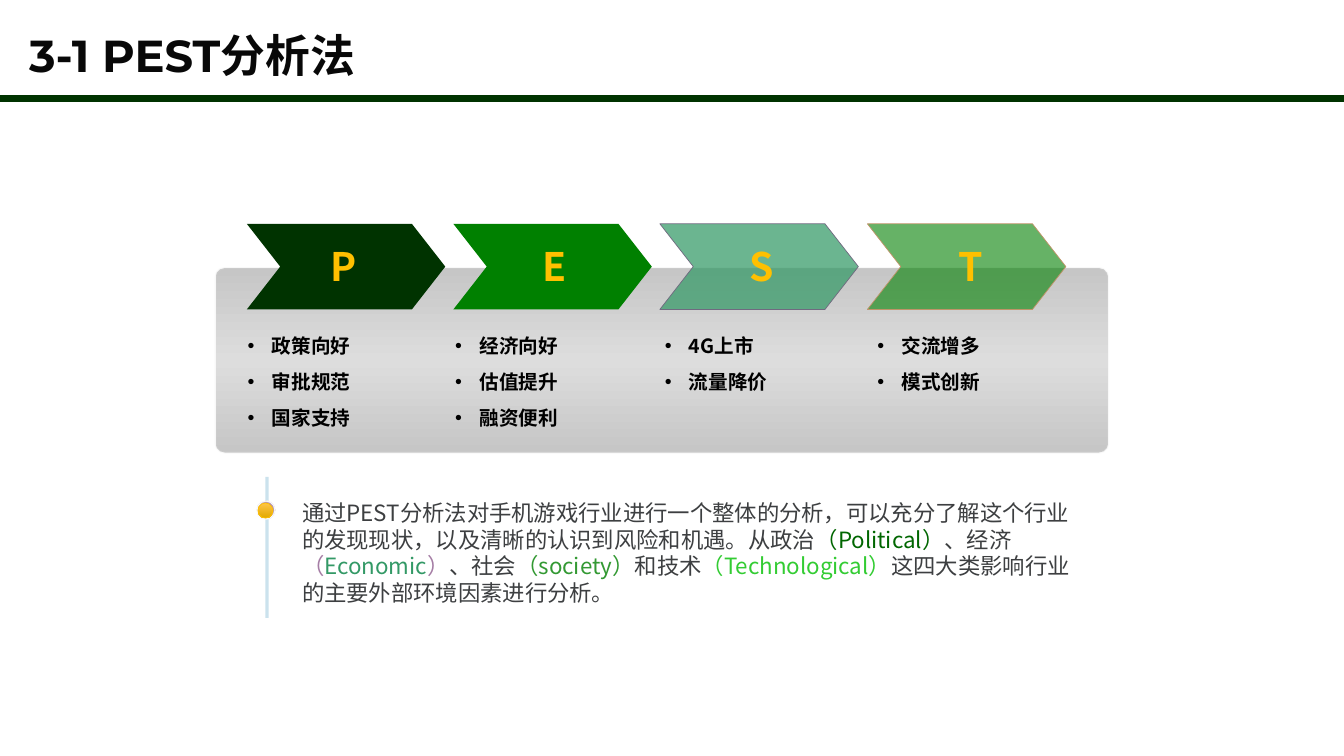
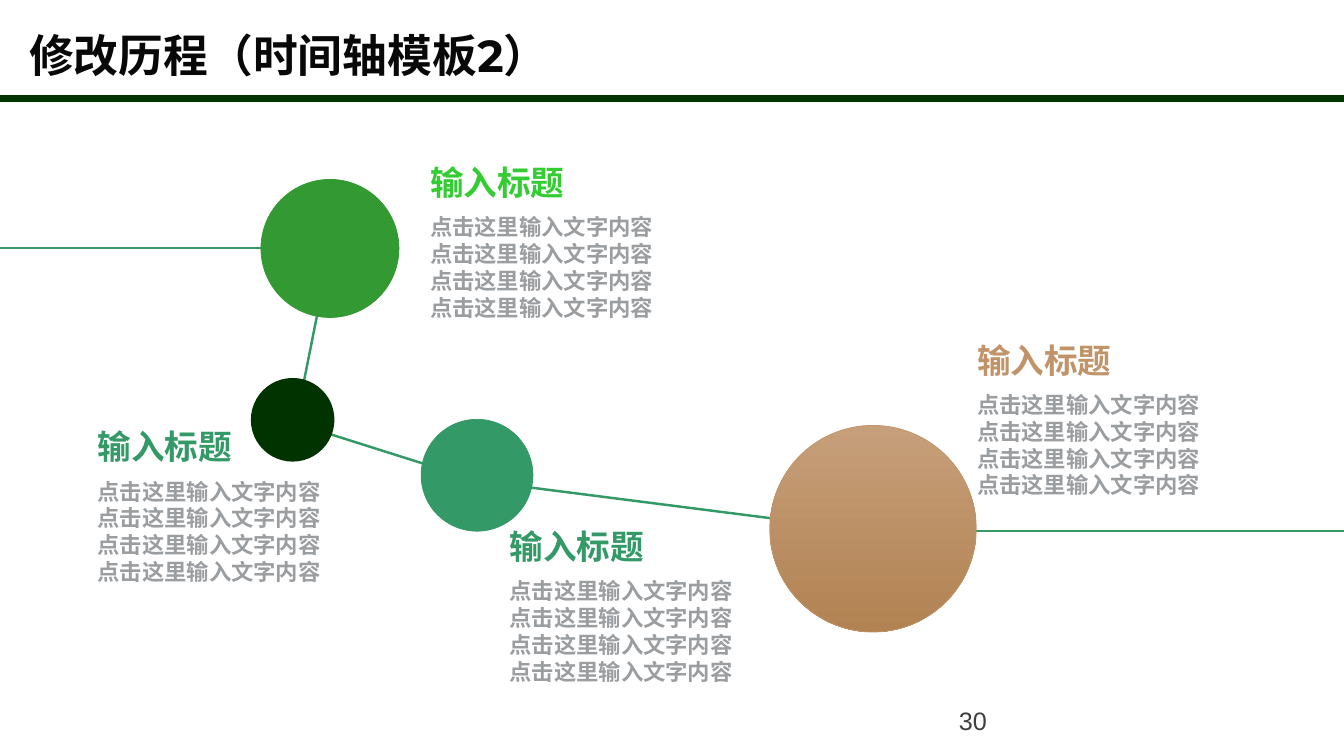
from dataclasses import dataclass

from pptx import Presentation
from pptx.dml.color import RGBColor
from pptx.enum.shapes import MSO_CONNECTOR, MSO_SHAPE
from pptx.enum.text import PP_ALIGN
from pptx.oxml.ns import qn
from pptx.oxml.xmlchemy import OxmlElement
from pptx.util import Pt

PX = 9144  # 100 px to the inch
LEFT, CENTER = PP_ALIGN.LEFT, PP_ALIGN.CENTER
STRAIGHT = MSO_CONNECTOR.STRAIGHT
OVAL, CHEVRON = MSO_SHAPE.OVAL, MSO_SHAPE.CHEVRON
ROUNDED = MSO_SHAPE.ROUNDED_RECTANGLE

SANS, HEAD, PLAIN = "Noto Sans CJK SC", "Montserrat", "Arial"

BLACK = RGBColor(0x00, 0x00, 0x00)
INK = RGBColor(0x08, 0x08, 0x08)
SLATE = RGBColor(0x3D, 0x3F, 0x41)
GREY = RGBColor(0x9B, 0x9E, 0xA1)
SILVER = RGBColor(0xC6, 0xC6, 0xC6)
PALE = RGBColor(0xDD, 0xDD, 0xDD)
WHITE = RGBColor(0xF8, 0xF8, 0xF8)
FOREST = RGBColor(0x00, 0x33, 0x00)
MOSS = RGBColor(0x00, 0x66, 0x00)
GREEN = RGBColor(0x00, 0x80, 0x00)
LEAF = RGBColor(0x33, 0x99, 0x33)
TEAL = RGBColor(0x33, 0x99, 0x66)
LIME = RGBColor(0x33, 0xCC, 0x33)
MAUVE = RGBColor(0xA5, 0x7D, 0xA5)
LILAC = RGBColor(0xE5, 0xDB, 0xE5)
DUSK = RGBColor(0x70, 0x6A, 0x80)
SKY = RGBColor(0x98, 0xC7, 0xDC)
GOLD = RGBColor(0xFF, 0xC0, 0x00)
AMBER = RGBColor(0xFF, 0xC5, 0x48)
OCHRE = RGBColor(0xE1, 0xA9, 0x00)
TAN = RGBColor(0xC0, 0x94, 0x68)
SAND = RGBColor(0xC6, 0x9F, 0x7A)
CLAY = RGBColor(0xB2, 0x82, 0x52)

Box = tuple[int, int, int, int]
Run = tuple[str, RGBColor]


@dataclass(frozen=True)
class Blend:
    """Evenly spaced gradient colours; the angle runs counter-clockwise."""
    stops: tuple[RGBColor, ...]
    angle: int = 270


@dataclass(frozen=True)
class Edge:
    color: RGBColor
    width: float = 0.5
    alpha: int = 100


@dataclass(frozen=True)
class Factor:
    """One arrow with its letter and the points below it."""
    letter: str
    mark: int
    left: int
    points: list[str]
    fill: RGBColor
    alpha: int = 100
    edge: Edge | None = None


@dataclass(frozen=True)
class Disc:
    x: int
    y: int
    size: int
    fill: RGBColor | Blend
    edge: Edge | None = None


@dataclass(frozen=True)
class Note:
    x: int
    y: int
    color: RGBColor


FACTORS = [
    Factor("P", 255, 236, ["政策向好", "审批规范", "国家支持"], FOREST),
    Factor("E", 464, 442, ["经济向好", "估值提升", "融资便利"], GREEN),
    Factor("S", 670, 650, ["4G上市", "流量降价"], TEAL, 72, Edge(DUSK)),
    Factor("T", 877, 861, ["交流增多", "模式创新"], GREEN, 60, Edge(TAN)),
]
SUMMARY: list[Run] = [
    ("通过PEST分析法对手机游戏行业进行一个整体的分析，可以充分了解这个行业的发现现状，"
     "以及清晰的认识到风险和机遇。从政治", SLATE),
    ("（Political）", MOSS),
    ("、经济", SLATE),
    ("（", MAUVE),
    ("Economic", TEAL),
    ("）", MAUVE),
    ("、社会", SLATE),
    ("（society）", LEAF),
    ("和技术", SLATE),
    ("（Technological）", LIME),
    ("这四大类影响行业的主要外部环境因素进行分析。", SLATE),
]
LINKS = [
    (328, 246, 0, 246),
    (328, 246, 293, 422),
    (300, 422, 474, 477),
    (474, 477, 866, 527),
    (1334, 527, 866, 527),
]
DISCS = [
    Disc(259, 178, 137, LEAF, Edge(LEAF)),
    Disc(249, 375, 83, FOREST),
    Disc(418, 416, 111, TEAL, Edge(TEAL)),
    Disc(764, 422, 205, Blend((SAND, CLAY)), Edge(TAN)),
]
NOTES = [
    Note(417, 156, LIME),
    Note(87, 418, TEAL),
    Note(496, 517, TEAL),
    Note(960, 332, TAN),
]


def scale(box: Box) -> list[int]:
    return [n * PX for n in box]


def add(parent, tag: str, **attrs):
    node = OxmlElement(tag)
    for key, value in attrs.items():
        node.set(key, str(value))
    parent.append(node)
    return node


def fade(parent, alpha: int) -> None:
    """Make the first colour under parent see-through."""
    if alpha < 100:
        add(next(parent.iter(qn("a:srgbClr"))), "a:alpha", val=alpha * 1000)


def blend(shape, look: Blend) -> None:
    shape.fill.gradient()
    shape.fill.gradient_angle = look.angle
    stops = next(shape.element.spPr.iter(qn("a:gsLst")))
    for old in list(stops):
        stops.remove(old)
    step = 100000 // (len(look.stops) - 1)
    for i, color in enumerate(look.stops):
        add(add(stops, "a:gs", pos=i * step), "a:srgbClr", val=color)


def stroke(item, edge: Edge) -> None:
    item.line.color.rgb = edge.color
    item.line.width = Pt(edge.width)
    fade(item.element.spPr.find(qn("a:ln")), edge.alpha)


def draw(slide, kind, box: Box, fill: RGBColor | Blend, *, alpha: int = 100,
         edge: Edge | None = None, adjust: float | None = None) -> None:
    shape = slide.shapes.add_shape(kind, *scale(box))
    shape.shadow.inherit = False
    if adjust is not None:
        shape.adjustments[0] = adjust
    if isinstance(fill, Blend):
        blend(shape, fill)
    else:
        shape.fill.solid()
        shape.fill.fore_color.rgb = fill
        fade(shape.element.spPr, alpha)
    if edge:
        stroke(shape, edge)
    else:
        shape.line.fill.background()


def rule(slide, ends: Box, edge: Edge) -> None:
    line = slide.shapes.add_connector(STRAIGHT, *scale(ends))
    stroke(line, edge)
    add(line.element.spPr, "a:effectLst")


def write(slide, box: Box, lines: list[str | list[Run]], *, size: int,
          color: RGBColor = SLATE, font: str = SANS, bold: bool = False,
          align=LEFT, gap: float = 0, pitch: float | None = None,
          bullet: bool = False) -> None:
    """Add a text box; each line is plain text or a list of coloured runs."""
    frame = slide.shapes.add_textbox(*scale(box)).text_frame
    frame.word_wrap = True
    for i, line in enumerate(lines):
        para = frame.add_paragraph() if i else frame.paragraphs[0]
        para.alignment = align
        para.line_spacing = pitch
        if i and gap:
            para.space_before = Pt(gap)
        if bullet:
            props = para._p.get_or_add_pPr()
            props.set("marL", str(24 * PX))
            props.set("indent", str(-24 * PX))
            add(props, "a:buFont", typeface=PLAIN)
            add(props, "a:buChar", char="•")
        for words, tint in [(line, color)] if isinstance(line, str) else line:
            run = para.add_run()
            run.text = words
            run.font.size = Pt(size)
            run.font.bold = bold
            run.font.color.rgb = tint
            run.font.name = font
            add(run.font._element, "a:ea", typeface=SANS)


def start(deck, title: str):
    """Add a slide with the shared title and band."""
    slide = deck.slides.add_slide(deck.slide_layouts[6])
    write(slide, (19, 29, 1209, 77), [title], size=32, color=INK, font=HEAD,
          bold=True, pitch=0.9)
    rule(slide, (0, 98, 1334, 98), Edge(FOREST, 4.75))
    return slide


def pest(deck) -> None:
    slide = start(deck, "3-1 PEST分析法")
    draw(slide, ROUNDED, (214, 266, 886, 183), Blend((SILVER, PALE, SILVER)),
         edge=Edge(PALE, 1.5, 18), adjust=0.05)
    for i, item in enumerate(FACTORS):
        draw(slide, CHEVRON, (245 + i * 616 // 3, 222, 197, 85), item.fill,
             alpha=item.alpha, edge=item.edge, adjust=0.39)
        write(slide, (item.mark, 235, 173, 57), [item.letter], size=28,
              color=GOLD, bold=True, align=CENTER)
        write(slide, (item.left, 326, 192, 105), item.points, size=14,
              color=BLACK, bold=True, gap=9, bullet=True)
    write(slide, (290, 490, 793, 117), [SUMMARY], size=16)
    rule(slide, (265, 473, 265, 613), Edge(SKY, 2.25, 50))
    draw(slide, OVAL, (255, 497, 18, 18), Blend((LILAC, MAUVE), 45),
         edge=Edge(WHITE, 1))
    draw(slide, OVAL, (256, 499, 15, 15), Blend((AMBER, OCHRE)),
         edge=Edge(GOLD))


def course(deck) -> None:
    slide = start(deck, "修改历程（时间轴模板2）")
    write(slide, (942, 695, 300, 40), ["30"], size=18, font=PLAIN)
    for ends in LINKS:
        rule(slide, ends, Edge(TEAL, 1.75))
    for disc in DISCS:
        draw(slide, OVAL, (disc.x, disc.y, disc.size, disc.size), disc.fill,
             edge=disc.edge)
    for note in NOTES:
        write(slide, (note.x, note.y, 160, 50), ["输入标题"], size=24,
              color=note.color, bold=True)
        write(slide, (note.x, note.y + 51, 250, 117),
              ["点击这里输入文字内容"] * 4, size=16, color=GREY, bold=True)


def main() -> None:
    deck = Presentation()
    deck.slide_width, deck.slide_height = 1334 * PX, 750 * PX
    pest(deck)
    course(deck)
    deck.save("out.pptx")


if __name__ == "__main__":
    main()
